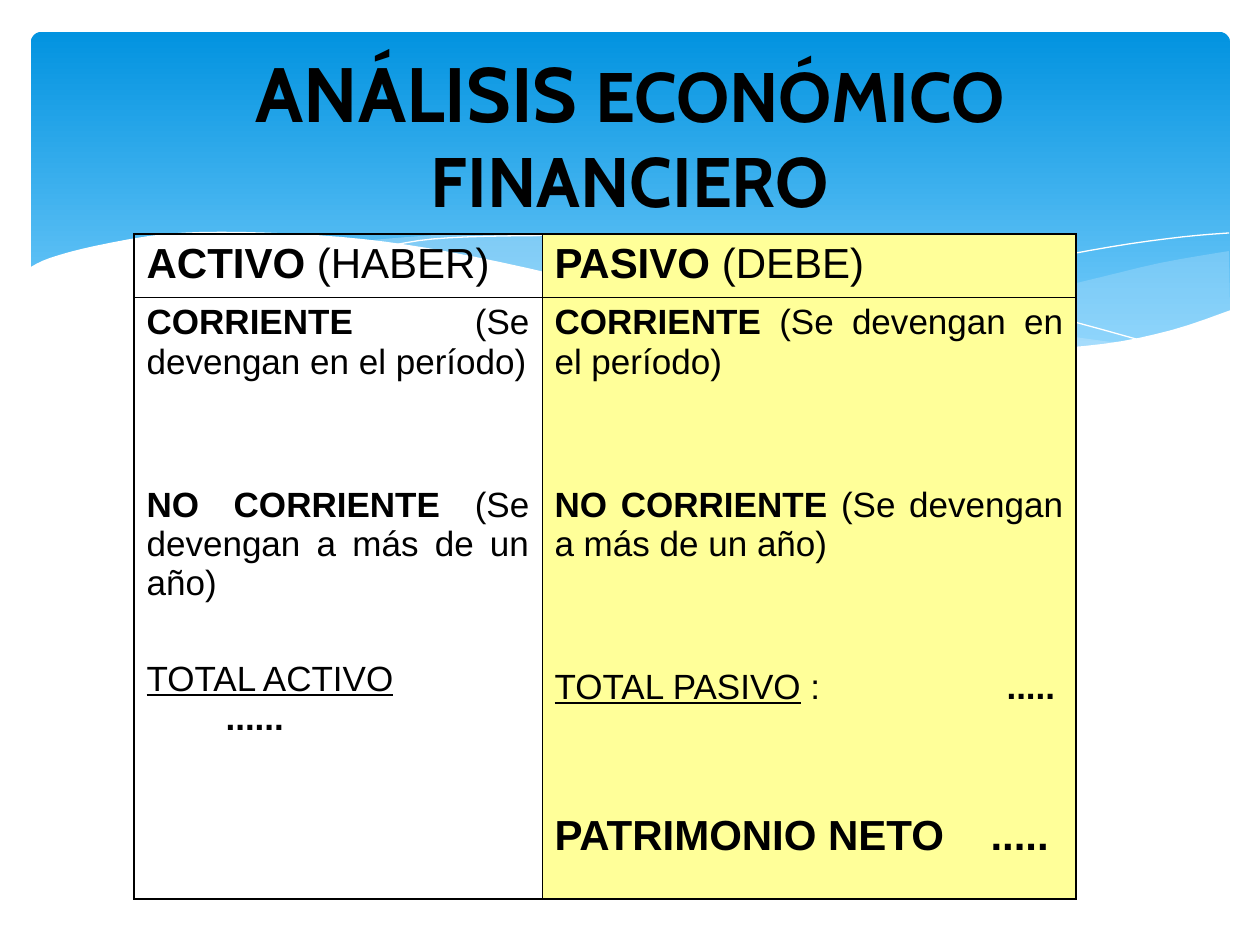
from lxml.etree import SubElement
from pptx import Presentation
from pptx.dml.color import RGBColor
from pptx.enum.shapes import MSO_SHAPE
from pptx.enum.text import MSO_ANCHOR, PP_ALIGN
from pptx.oxml.ns import qn
from pptx.util import Pt

# Content: a run is (text, style), with b for bold and u for underlined
TITLE = [("ANÁLISIS ", 44), ("ECONÓMICO FINANCIERO", 40)]
HEADS = [
    [("ACTIVO ", "b"), ("(HABER)", "")],
    [("PASIVO ", "b"), ("(DEBE)", "")],
]
# Paragraphs: runs, size in pt, justified, space before, indent, tab stop (px)
ASSETS = [
    ([("CORRIENTE", "b"), (" (Se devengan en el período)", "")], 20, True, 0, 0, 0),
    ([("NO CORRIENTE ", "b"), ("(Se devengan a más de un año)", "")], 20, True, 104, 0, 0),
    ([("TOTAL ACTIVO", "u")], 20, False, 57, 0, 0),
    ([("......", "b")], 20, False, 0, 79, 0),
]
DEBTS = [
    ([("CORRIENTE ", "b"), ("(Se devengan en el período)", "")], 20, True, 0, 0, 0),
    ([("NO CORRIENTE ", "b"), ("(Se devengan a más de un año)", "")], 20, True, 104, 0, 0),
    ([("TOTAL PASIVO", "u"), (" :", ""), ("\t.....", "b")], 20, False, 104, 0, 452),
    ([("PATRIMONIO NETO\t.....", "b")], 24, False, 106, 0, 436),
]
ROWS = [[[(runs, 24, False, 0, 0, 0)] for runs in HEADS], [ASSETS, DEBTS]]
COLS, HIGH = (408, 534), (63, 602)
FILLS = (None, "FFFF99")

# Waves: curves through key points (px), fill, opacity in percent
WAVES = [
    ([[(1229, 251), (1160, 263), (1085, 281), (982, 305), (890, 324), (833, 334)],
      [(833, 334), (905, 343), (969, 349), (1038, 349), (1110, 344), (1178, 329),
       (1230, 311)]], "C6E7FC", 29),
    ([[(1125, 344), (1017, 328), (890, 302), (793, 280), (699, 258), (616, 244),
       (529, 236), (455, 234), (360, 241)],
      [(360, 241), (456, 256), (566, 280), (713, 312), (819, 333), (910, 345),
       (1003, 350), (1069, 349), (1125, 344)]], "C6E7FC", 40),
    ([[(389, 246), (433, 239), (505, 236), (591, 237), (702, 248), (801, 262),
       (916, 285), (1047, 315), (1143, 341)]], None, 100),
    ([[(772, 324), (876, 296), (1016, 265), (1110, 247), (1182, 237),
       (1229, 233)]], None, 100),
    ([[(1231, 310), (1172, 330), (1103, 344), (1019, 349), (915, 343), (789, 325),
       (667, 301), (527, 268), (427, 248), (341, 237), (243, 232), (166, 234),
       (95, 246), (50, 258), (29, 268)],
      [(29, 415), (1231, 415)]], "FFFFFF", 100),
]


def px(n):
    return round(n * 914400 / 126)


def rgb(code):
    return RGBColor.from_string(code)


def add_run(para, text, size, font, style=""):
    run = para.add_run()
    run.text = text
    run.font.size, run.font.name = Pt(size), font
    run.font.bold, run.font.underline = "b" in style, "u" in style
    run.font.color.rgb = rgb("000000")


def smooth(keys, steps=4):
    """Catmull-Rom points through the keys."""
    ends = [keys[0], *keys, keys[-1]]
    out = []
    for a, b, c, d in zip(ends, ends[1:], ends[2:], ends[3:]):
        for t in (i / steps for i in range(steps)):
            out.append(tuple(
                (2 * q + (r - p) * t + (2 * p - 5 * q + 4 * r - s) * t ** 2
                 + (3 * q - p - 3 * r + s) * t ** 3) / 2
                for p, q, r, s in zip(a, b, c, d)))
    return out + [keys[-1]]


def add_wave(shapes, curves, fill, alpha):
    dots = [(px(x), px(y)) for keys in curves for x, y in smooth(keys)]
    pen = shapes.build_freeform(*dots[0])
    pen.add_line_segments(dots[1:], close=bool(fill))
    wave = pen.convert_to_shape()
    wave.shadow.inherit = False
    if not fill:
        wave.fill.background()
        wave.line.color.rgb, wave.line.width = rgb("FFFFFF"), 0
        return
    wave.fill.solid()
    wave.fill.fore_color.rgb = rgb(fill)
    wave.line.fill.background()
    if alpha < 100:
        tint = wave.element.spPr.find(".//" + qn("a:srgbClr"))
        SubElement(tint, qn("a:alpha"), val=str(alpha * 1000))


def add_edges(cell, row, col):
    props = cell._tc.get_or_add_tcPr()
    outer = {"L": col == 0, "R": col == 1, "T": row == 0, "B": row == 1}
    for i, (side, thick) in enumerate(outer.items()):
        edge = props.makeelement(qn("a:ln" + side), {"w": str(Pt(1.08 if thick else 0.45))})
        ink = SubElement(edge, qn("a:solidFill"))
        SubElement(ink, qn("a:srgbClr"), val="000000")
        props.insert(i, edge)


def fill_cell(cell, paras, fill):
    if fill:
        cell.fill.solid()
        cell.fill.fore_color.rgb = rgb(fill)
    else:
        cell.fill.background()
    frame = cell.text_frame
    for i, (runs, size, just, gap, indent, tab) in enumerate(paras):
        para = frame.add_paragraph() if i else frame.paragraphs[0]
        para.alignment = PP_ALIGN.JUSTIFY if just else PP_ALIGN.LEFT
        para.space_before = px(gap)
        props = para._p.get_or_add_pPr()
        if indent:
            props.set("marL", str(px(indent)))
        if tab:
            stops = SubElement(props, qn("a:tabLst"))
            SubElement(stops, qn("a:tab"), pos=str(px(tab)), algn="l")
        for text, style in runs:
            add_run(para, text, size, "Arial", style)


def main():
    deck = Presentation()
    deck.slide_width, deck.slide_height = px(1260), px(945)
    slide = deck.slides.add_slide(deck.slide_layouts[5])
    shapes = slide.shapes

    # Blue banner and waves
    banner = shapes.add_shape(MSO_SHAPE.ROUNDED_RECTANGLE, px(31), px(32), px(1199), px(340))
    banner.adjustments[0] = 0.03
    banner.shadow.inherit = False
    banner.line.fill.background()
    banner.fill.gradient()
    banner.fill.gradient_angle = 270
    for stop, code in zip(banner.fill.gradient_stops, ("0293E0", "83D3FE")):
        stop.color.rgb = rgb(code)
    for wave in WAVES:
        add_wave(shapes, *wave)

    # Title, brought in front of the banner
    title = shapes.title
    title.left, title.top, title.width, title.height = px(63), px(47), px(1134), px(173)
    title.element.getparent().append(title.element)
    frame = title.text_frame
    frame.word_wrap, frame.vertical_anchor = True, MSO_ANCHOR.MIDDLE
    para = frame.paragraphs[0]
    para.alignment = PP_ALIGN.CENTER
    for text, size in TITLE:
        add_run(para, text, size, "Cabin", "b")

    # Balance table
    table = shapes.add_table(2, 2, px(134), px(234), px(sum(COLS)), px(sum(HIGH))).table
    table.first_row = table.horz_banding = False
    for col, wide in zip(table.columns, COLS):
        col.width = px(wide)
    for r, cells in enumerate(ROWS):
        table.rows[r].height = px(HIGH[r])
        for c, paras in enumerate(cells):
            fill_cell(table.cell(r, c), paras, FILLS[c])
            add_edges(table.cell(r, c), r, c)

    deck.save("out.pptx")


if __name__ == "__main__":
    main()
